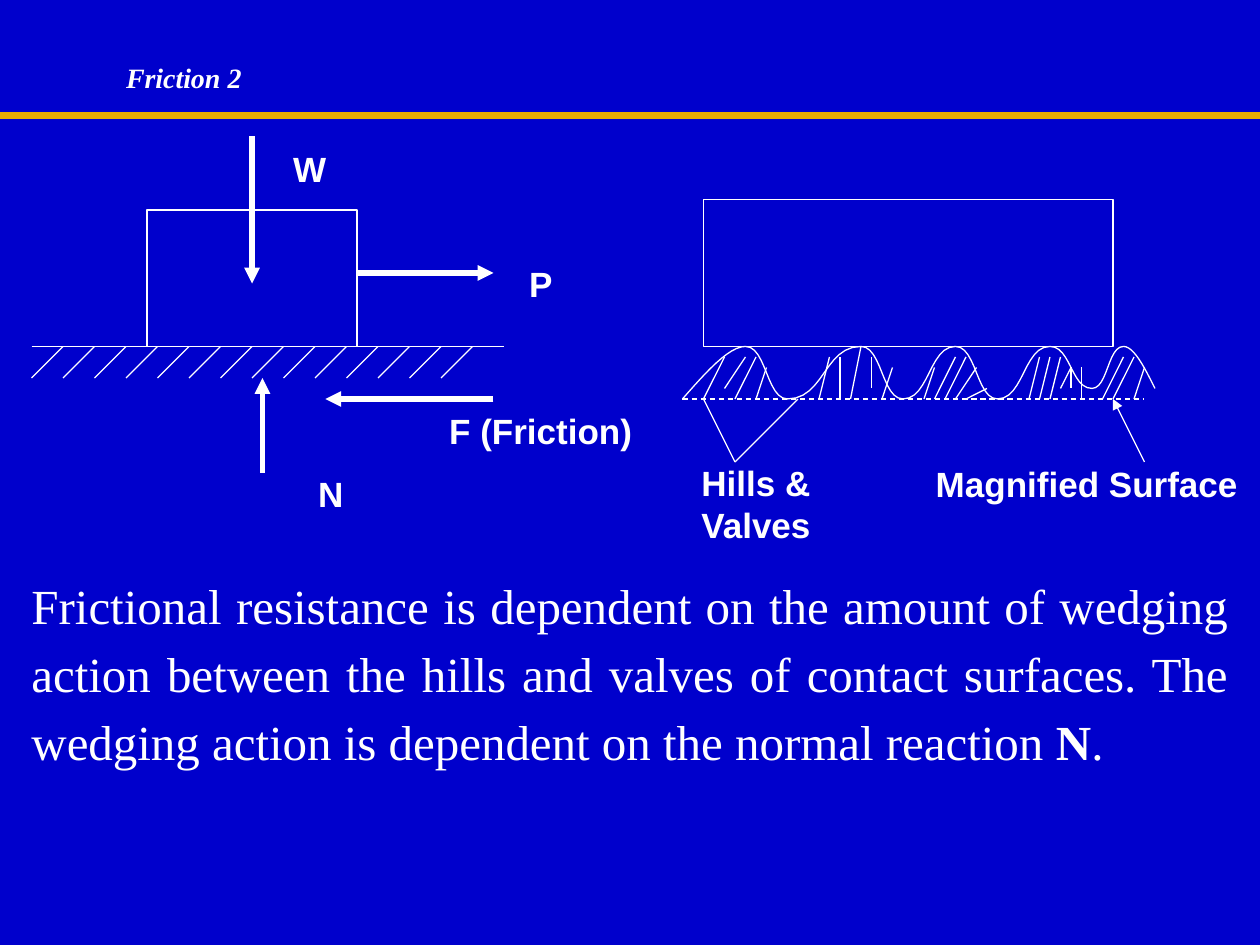
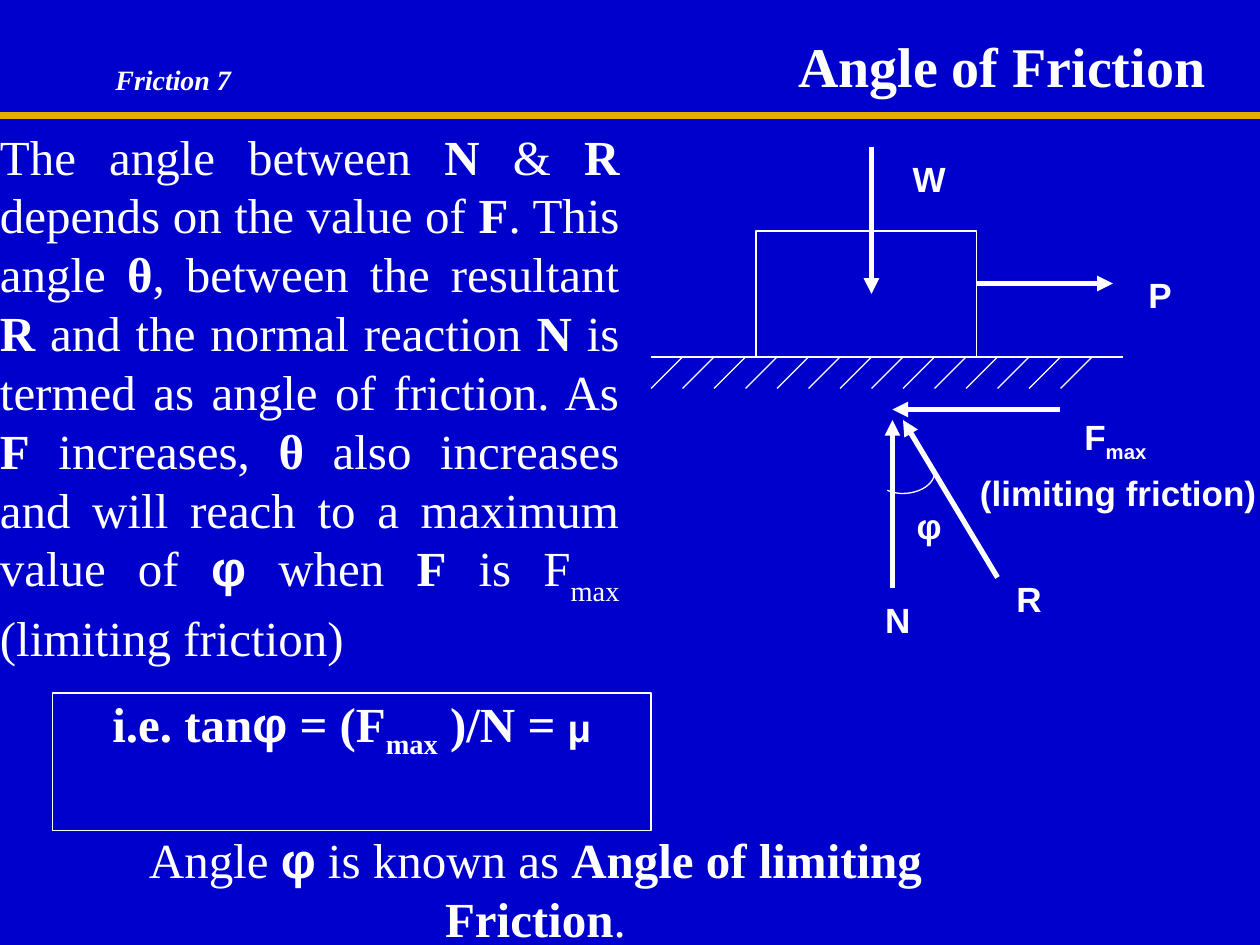
"""Build two friction slides on a grid of 120 columns by 90 rows."""
import itertools

import lxml.etree
import pptx
import pptx.dml.color
import pptx.enum.dml
import pptx.enum.shapes
import pptx.enum.text
import pptx.oxml.ns
import pptx.util

hue = pptx.dml.color.RGBColor.from_string
align = pptx.enum.text.PP_ALIGN
rect = pptx.enum.shapes.MSO_SHAPE.RECTANGLE
straight = pptx.enum.shapes.MSO_CONNECTOR.STRAIGHT
qn = pptx.oxml.ns.qn

deck = pptx.Presentation()
deck.slide_width = pptx.util.Inches(10)
deck.slide_height = pptx.util.Inches(7.5)
cell = deck.slide_width / 120

WHITE, BLUE, GOLD = "FFFFFF", "0000CC", "E8AB00"
THIN, THICK, BAND = 0.75, 3, 4.5

BOLD = {"bold": True}
GREEK = {"bold": True, "name": "Arial"}
SUB = {"sub": "-25000"}
LOW = {"sub": "-30000"}

serif = {"name": "Times New Roman", "size": pptx.util.Pt(28)}
STYLES = {
    "title": ({**serif, "size": pptx.util.Pt(32), "bold": True}, {}),
    "head": ({**serif, "size": pptx.util.Pt(16), "bold": True, "italic": True},
             {"space_before": pptx.util.Pt(10)}),
    "body": (serif, {"alignment": align.JUSTIFY}),
    "loose": (serif, {"alignment": align.JUSTIFY, "line_spacing": 1.15}),
    "note": (serif, {"alignment": align.CENTER}),
    "sum": ({**serif, "bold": True},
            {"alignment": align.CENTER, "space_before": pptx.util.Pt(13.8)}),
    "label": ({"name": "Arial", "size": pptx.util.Pt(20), "bold": True},
              {"alignment": align.CENTER, "space_before": pptx.util.Pt(12.5)}),
}
STYLES["tight"] = (STYLES["label"][0], {**STYLES["label"][1], "line_spacing": 0.8})


def line(slide, ends, width=THIN, tip=False, dash=False, tint=WHITE):
    """Draw a straight line between two grid points."""
    link = slide.shapes.add_connector(straight, *[round(n * cell) for n in ends])
    link.line.color.rgb = hue(tint)
    link.line.width = pptx.util.Pt(width)
    if dash:
        link.line.dash_style = pptx.enum.dml.MSO_LINE.DASH
    props = link.element.spPr
    if tip:
        lxml.etree.SubElement(props.find(qn("a:ln")), qn("a:tailEnd"), type="triangle")
    lxml.etree.SubElement(props, qn("a:effectLst"))


def write(shape, style, *paras):
    """Fill a shape with paragraphs, each a list of plain strings or (text, format)."""
    frame = shape.text_frame
    frame.word_wrap = True
    frame.vertical_anchor = pptx.enum.text.MSO_ANCHOR.TOP
    for side in ("left", "top", "right", "bottom"):
        setattr(frame, "margin_" + side, 0)
    font, layout = STYLES[style]
    for i, runs in enumerate(paras):
        para = frame.add_paragraph() if i else frame.paragraphs[0]
        for key, value in layout.items():
            setattr(para, key, value)
        for item in runs:
            words, extra = (item, {}) if isinstance(item, str) else item
            run = para.add_run()
            run.text = words
            run.font.color.rgb = hue(WHITE)
            for key, value in {**font, **extra}.items():
                if key == "sub":
                    run._r.get_or_add_rPr().set("baseline", value)
                else:
                    setattr(run.font, key, value)


wedge, angle = slides = [deck.slides.add_slide(deck.slide_layouts[6]) for _ in range(2)]
for slide in slides:
    slide.background.fill.solid()
    slide.background.fill.fore_color.rgb = hue(BLUE)
    line(slide, (0, 11, 120, 11), BAND, tint=GOLD)

boxes = [(wedge, (14, 20, 20, 13)), (wedge, (67, 19, 39, 14)),
         (angle, (72, 22, 21, 12)), (angle, (5, 66, 57, 13.1))]
for slide, place in boxes:
    block = slide.shapes.add_shape(rect, *[round(n * cell) for n in place])
    block.shadow.inherit = False
    block.fill.background()
    block.line.color.rgb = hue(WHITE)
    block.line.width = pptx.util.Pt(THIN)
write(block, "sum", ["i.e. tan", ("φ", GREEK), " = (F", ("max", SUB), " )/N = ",
                     ("μ", {"name": "Arial", "size": pptx.util.Pt(22)})])

for slide, left, top in [(wedge, 3, 33), (angle, 62, 34)]:
    line(slide, (left, top, left + 45, top))
    for x in range(left, left + 42, 3):
        line(slide, (x + 3, top, x, top + 3))

forces = [
    (wedge, (24, 13, 24, 27)), (wedge, (34, 26, 47, 26)),
    (wedge, (47, 38, 31, 38)), (wedge, (25, 45, 25, 36)),
    (angle, (83, 14, 83, 28)), (angle, (93, 27, 106, 27)),
    (angle, (101, 39, 85, 39)), (angle, (85, 56, 85, 40)),
    (angle, (95, 55, 86, 40)),
]
for slide, ends in forces:
    line(slide, ends, THICK, tip=True)

strokes = [
    (69, 34, 67, 38), (71, 34, 69, 37), (72, 34, 70, 38), (73, 35, 72, 38),
    (79, 34, 78, 38), (80, 34, 80, 38), (82, 33, 81, 38), (83, 34, 83, 37),
    (85, 35, 84, 38), (89, 35, 88, 38), (91, 34, 89, 38), (92, 34, 90, 38),
    (93, 35, 91, 38), (94, 37, 92, 38), (99, 34, 98, 38), (100, 34, 99, 38),
    (101, 34, 100, 38), (102, 35, 101, 37), (102, 35, 102, 37), (103, 35, 103, 38),
    (107, 34, 105, 38), (108, 34, 106, 38), (109, 35, 108, 38),
]
leads = [(67, 38, 70, 44), (70, 44, 76, 38)]
for ends in strokes + leads:
    line(wedge, ends)
line(wedge, (65, 38, 109, 38), dash=True)
line(wedge, (109, 44, 106, 38), tip=True)

turns = [(71, 33), (75, 38), (82, 33), (86, 38), (91, 33),
         (95, 38), (100, 33), (104, 37), (107, 33)]
hills = [((65, 38), (67.2, 35.5), (69.4, 33), turns[0])]
for a, b in itertools.pairwise(turns):
    mid = (a[0] + b[0]) / 2
    hills.append((a, (mid, a[1]), (mid, b[1]), b))
hills.append((turns[-1], (108, 33), (109, 35), (110, 37)))
arc = [((84.5, 46.7), (85, 46.9), (85.4, 47), (86, 47)),
       ((86, 47), (87.6, 47), (89, 46.1), (89, 45))]

steps = 12
for slide, curve in [(wedge, hills), (angle, arc)]:
    dots = []
    for bend in curve:
        for t in [n / steps for n in range(1, steps + 1)]:
            parts = ((1 - t) ** 3, 3 * t * (1 - t) ** 2, 3 * t * t * (1 - t), t ** 3)
            dots.append([cell * sum(p * dot[k] for p, dot in zip(parts, bend))
                         for k in (0, 1)])
    pen = slide.shapes.build_freeform(*[n * cell for n in curve[0][0]])
    pen.add_line_segments(dots, close=False)
    wave = pen.convert_to_shape()
    wave.shadow.inherit = False
    wave.fill.background()
    wave.line.color.rgb = hue(WHITE)
    wave.line.width = pptx.util.Pt(THIN)

texts = [
    (wedge, (12, 5.75, 20, 3.25), "head", ["Friction 2"]),
    (wedge, (26, 14, 7, 4), "label", ["W"]),
    (wedge, (48, 25, 7, 4), "label", ["P"]),
    (wedge, (39, 39, 25, 4), "label", ["F (Friction)"]),
    (wedge, (28, 45, 7, 4), "label", ["N"]),
    (wedge, (62, 44, 20, 8), "label", ["Hills & Valves"]),
    (wedge, (87, 44, 33, 4), "label", ["Magnified Surface"]),
    (wedge, (3, 54, 114, 19.3), "loose", [
        "Frictional resistance is dependent on the amount of wedging action between "
        "the hills and valves of contact surfaces. The wedging action is dependent "
        "on the normal reaction ", ("N", BOLD), "."]),
    (angle, (11, 6, 20, 3.25), "head", ["Friction 7"]),
    (angle, (76, 3, 44, 6.4), "title", ["Angle of Friction"]),
    (angle, (85, 15, 7, 4), "label", ["W"]),
    (angle, (107, 26, 7, 4), "label", ["P"]),
    (angle, (91, 40, 31, 8.9), "tight", ["F", ("max ", SUB)], ["(limiting friction)"]),
    (angle, (86, 48, 5, 4), "label", ["φ"]),
    (angle, (82, 57, 7, 4), "label", ["N"]),
    (angle, (93, 55, 10, 4), "label", ["R"]),
    (angle, (0, 12, 59, 51.5), "body", [
        "The angle between ", ("N", BOLD), " & ", ("R", BOLD),
        " depends on the value of ", ("F", BOLD), ". This angle ", ("θ", BOLD),
        ", between the resultant ", ("R", BOLD), " and the normal reaction ",
        ("N", BOLD), " is termed as angle of friction. As ", ("F", BOLD),
        " increases, ", ("θ", BOLD),
        " also increases and will reach to a maximum value of ", ("φ", GREEK),
        " when ", ("F", BOLD), " is F", ("max", LOW), " (limiting friction)"]),
    (angle, (5.5, 79, 91, 11), "note", [
        "Angle ", ("φ", GREEK), " is known as ",
        ("Angle of limiting Friction", BOLD), "."]),
]
for slide, place, style, *paras in texts:
    box = slide.shapes.add_textbox(*[round(n * cell) for n in place])
    write(box, style, *paras)

deck.save("out.pptx")
